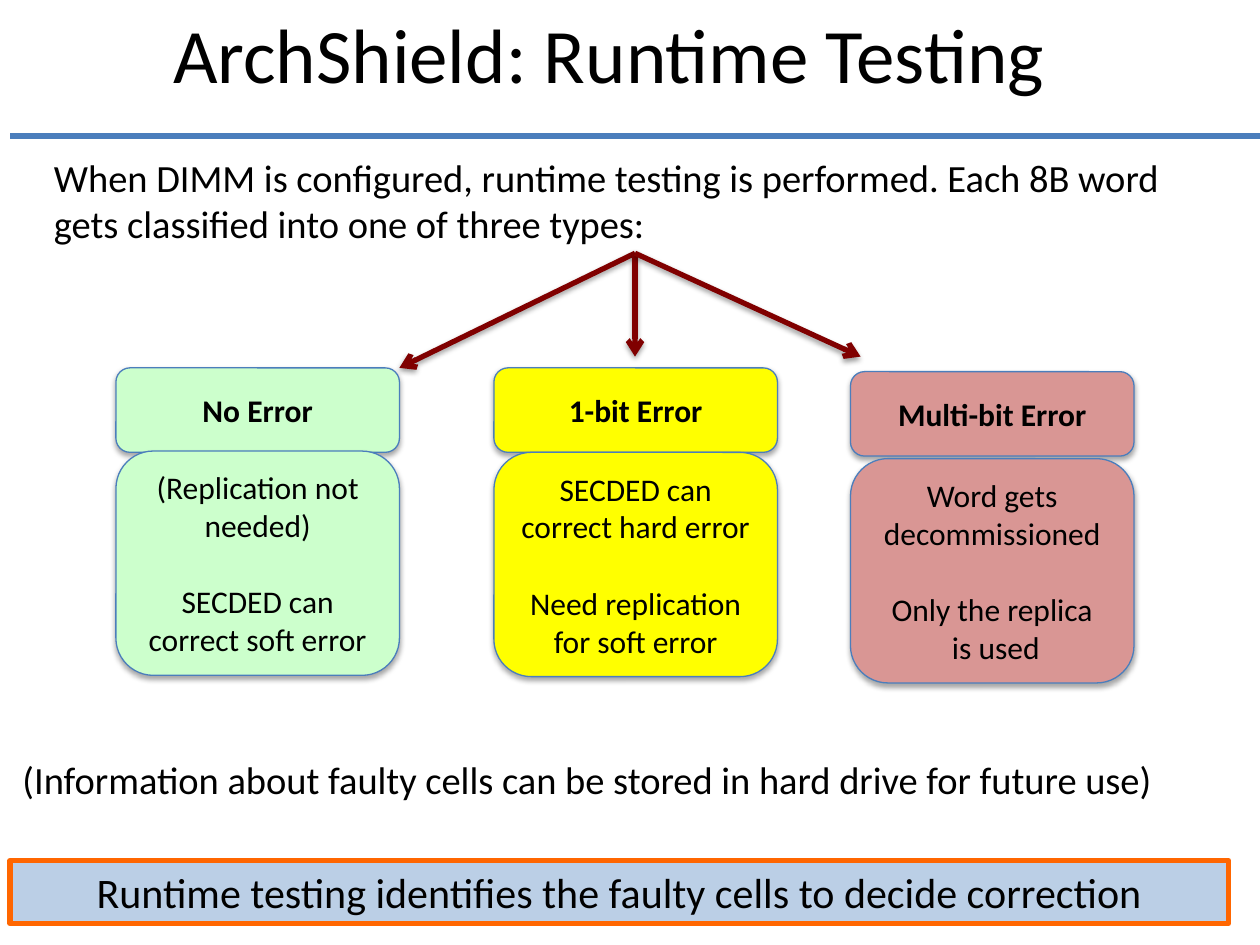
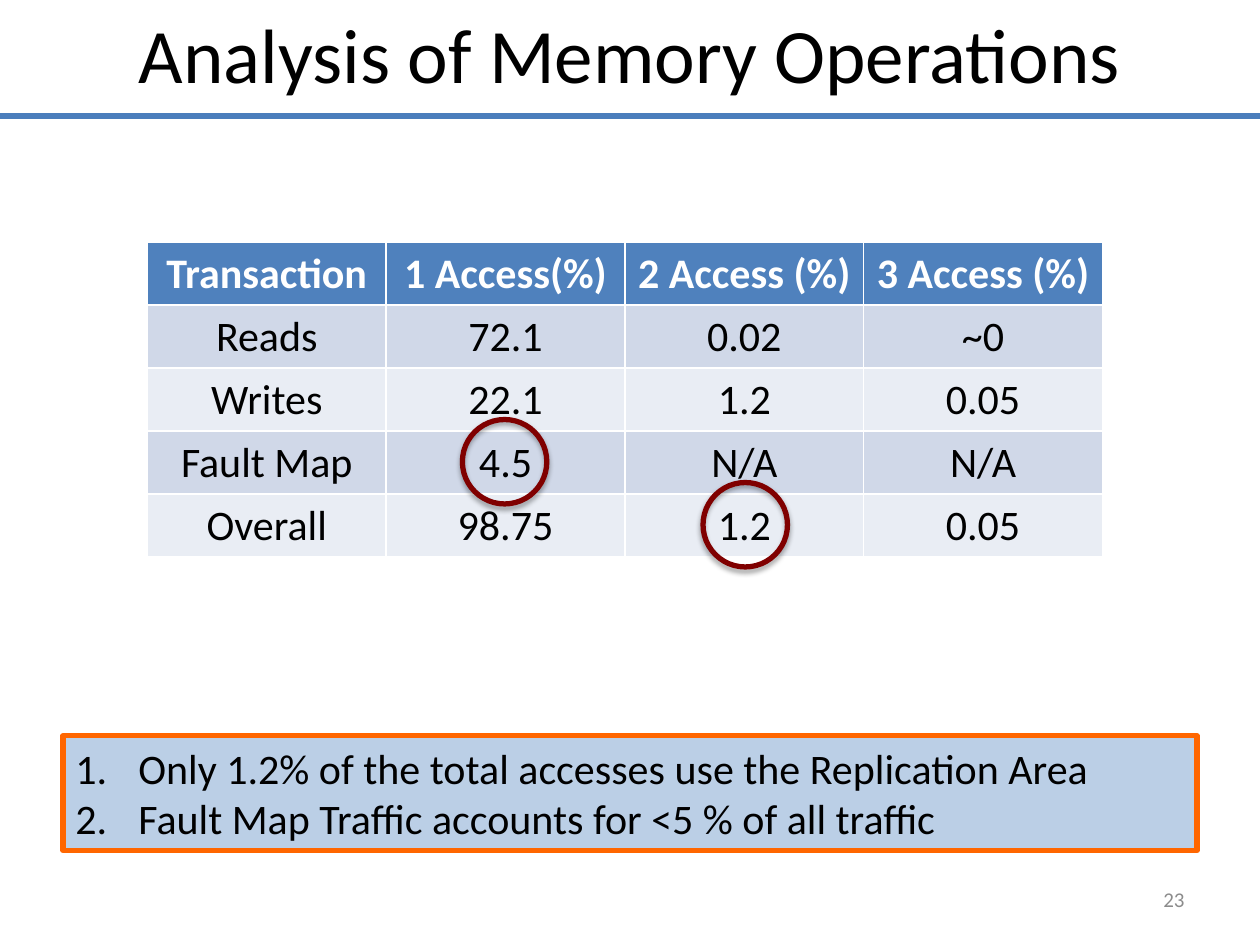
from pptx import Presentation
from pptx import util as u
from pptx.dml.color import RGBColor
from pptx.enum import shapes, text
from pptx.oxml import parse_xml
from pptx.oxml.ns import nsdecls
from lxml import etree

FONT = "Calibri"
COLORS = {
    "black": "000000", "white": "FFFFFF", "gray": "8C8C8C",
    "rule": "4B7EBC", "band": "BBCFE6", "orange": "FF6600", "maroon": "800000",
    "green": "CCFFCC", "yellow": "FFFF00", "red": "D99694",
    "header": "4F81BD", "odd row": "D0D8E8", "even row": "E9EDF4",
}
TOP, MIDDLE = text.MSO_ANCHOR.TOP, text.MSO_ANCHOR.MIDDLE
LEFT, CENTER, RIGHT = text.PP_ALIGN.LEFT, text.PP_ALIGN.CENTER, text.PP_ALIGN.RIGHT


def color(name):
    return RGBColor.from_string(COLORS[name])


def inches(*lengths):
    return [u.Inches(length) for length in lengths]


def write(frame, *lines, size=18, ink="black", bold=False, align=LEFT,
          anchor=TOP, gap=0, numbered=False):
    """Fill a text frame with one paragraph a line, in one format."""
    frame.word_wrap = True
    frame.vertical_anchor = anchor
    for index, line in enumerate(lines):
        para = frame.add_paragraph() if index else frame.paragraphs[0]
        para.text = line
        para.alignment = align
        if index and gap:
            para.space_before = u.Pt(gap)
        for span in para.runs:
            span.font.name, span.font.size, span.font.bold = FONT, u.Pt(size), bold
            span.font.color.rgb = color(ink)
        if numbered:
            props = para._p.get_or_add_pPr()
            props.set("marL", str(u.Inches(0.5)))
            props.set("indent", str(u.Inches(-0.5)))
            props.append(parse_xml(f'<a:buAutoNum {nsdecls("a")} type="arabicPeriod"/>'))


def add_effects(item, opacity=None, distance=1.8):
    """Replace the theme shadow by a soft one below, or by none."""
    shadow = ""
    if opacity:
        shadow = (f'<a:outerShdw blurRad="{u.Pt(3.1)}" dist="{u.Pt(distance)}" dir="5400000" '
                  f'rotWithShape="0"><a:srgbClr val="{COLORS["black"]}">'
                  f'<a:alpha val="{opacity * 1000}"/></a:srgbClr></a:outerShdw>')
    item._element.spPr.append(
        parse_xml(f'<a:effectLst {nsdecls("a")}>{shadow}</a:effectLst>'))


def add_figure(page, kind, box, fill, line, width, shadow=None):
    figure = page.shapes.add_shape(kind, *inches(*box))
    if fill:
        figure.fill.solid()
        figure.fill.fore_color.rgb = color(fill)
    else:
        figure.fill.background()
    figure.line.color.rgb = color(line)
    figure.line.width = u.Pt(width)
    add_effects(figure, shadow)
    return figure


def add_text(page, box, *lines, **style):
    label = page.shapes.add_textbox(*inches(*box))
    write(label.text_frame, *lines, **style)
    return label


def add_line(page, start, end, ink, arrow=False):
    line = page.shapes.add_connector(shapes.MSO_CONNECTOR.STRAIGHT,
                                     *inches(*start, *end))
    line.line.color.rgb = color(ink)
    line.line.width = u.Pt(3)
    if arrow:
        tail = etree.SubElement(line.line._get_or_add_ln(),
                                "{http://schemas.openxmlformats.org/drawingml/2006/main}tailEnd")
        tail.set("type", "arrow")
    add_effects(line, 38 if arrow else None, 1.6)
    return line


def add_page(deck, title, title_box, rule_left, rule_top):
    """Start a page with its title and the rule below it."""
    page = deck.slides.add_slide(deck.slide_layouts[5])
    heading = page.shapes.title
    heading.left, heading.top, heading.width, heading.height = inches(*title_box)
    write(heading.text_frame, title, size=44, align=CENTER)
    add_line(page, (rule_left, rule_top), (rule_left + 10, rule_top), "rule")
    return page


def add_takeaway(page, box, *lines, **style):
    band = add_figure(page, shapes.MSO_SHAPE.RECTANGLE, box, "band", "orange", 3)
    write(band.text_frame, *lines, size=24, **style)


def add_error_card(page, left, top, body_top, fill, heading, *notes):
    """A rounded heading with a rounded body under it."""
    parts = [(top, 0.67, [heading], True), (body_top, 1.78, notes, False)]
    for part_top, height, lines, bold in parts:
        part = add_figure(page, shapes.MSO_SHAPE.ROUNDED_RECTANGLE,
                          (left, part_top, 2.25, height), fill, "rule", 0.75, 35)
        write(part.text_frame, *lines, bold=bold, align=CENTER, anchor=MIDDLE, gap=22)


def add_access_table(page, box, rows):
    left, top, width, height = box
    table = page.shapes.add_table(len(rows), len(rows[0]), *inches(*box)).table
    for column in table.columns:
        column.width = u.Inches(width / len(rows[0]))
    for row_index, row in enumerate(rows):
        table.rows[row_index].height = u.Inches(height / len(rows))
        is_header = row_index == 0
        fill = "header" if is_header else "odd row" if row_index % 2 else "even row"
        for column_index, value in enumerate(row):
            cell = table.cell(row_index, column_index)
            cell.fill.solid()
            cell.fill.fore_color.rgb = color(fill)
            write(cell.text_frame, value, size=24, align=CENTER, bold=is_header,
                  ink="white" if is_header else "black")


def build_runtime_testing(deck):
    page = add_page(deck, "ArchShield: Runtime Testing", (0.42, 0, 8.83, 0.96), 0.08, 1.08)
    intro = add_text(page, (0.33, 1.17, 9.42, 0.84),
                     "When DIMM is configured, runtime testing is performed. "
                     "Each 8B word gets classified into one of three types:", size=22)
    add_takeaway(page, (0.08, 6.83, 9.67, 0.5),
                 "Runtime testing identifies the faulty cells to decide correction",
                 align=CENTER)
    add_text(page, (0.08, 5.95, 9.42, 0.47),
             "(Information about faulty cells can be stored in hard drive for future use)",
             size=22)

    # Arrows fan out from the introduction to the three types
    for tip in [(3.17, 2.92), (5.04, 2.83), (6.83, 2.83)]:
        arrow = add_line(page, (5.04, 2.01), tip, "maroon", arrow=True)
        arrow.begin_connect(intro, 2)

    cards = [
        (0.92, 2.92, 3.58, "green", "No Error",
         "(Replication not needed)", "SECDED can correct soft error"),
        (3.92, 2.92, 3.59, "yellow", "1-bit Error",
         "SECDED can correct hard error", "Need replication for soft error"),
        (6.75, 2.95, 3.64, "red", "Multi-bit Error",
         "Word gets decommissioned", "Only the replica\v is used"),
    ]
    for card in cards:
        add_error_card(page, *card)


def build_memory_operations(deck):
    page = add_page(deck, "Analysis of Memory Operations", (0, 0, 10, 0.96), 0, 0.92)
    add_text(page, (7.08, 6.92, 2.42, 0.43), "23", size=12, ink="gray",
             align=RIGHT, anchor=MIDDLE)
    add_takeaway(page, (0.5, 5.84, 9, 0.91),
                 "Only 1.2% of the total accesses use the Replication Area",
                 "Fault Map Traffic accounts for <5 % of all traffic", numbered=True)
    add_access_table(page, (1.17, 1.92, 7.58, 2.5), [
        ["Transaction", "1 Access(%)", "2 Access (%)", "3 Access (%)"],
        ["Reads", "72.1", "0.02", "~0"],
        ["Writes", "22.1", "1.2", "0.05"],
        ["Fault Map", "4.5", "N/A", "N/A"],
        ["Overall", "98.75", "1.2", "0.05"],
    ])
    # Rings around the two key values
    for left, top in [(5.58, 3.83), (3.67, 3.33)]:
        add_figure(page, shapes.MSO_SHAPE.OVAL, (left, top, 0.67, 0.67),
                   None, "maroon", 3, 35)


def main():
    deck = Presentation()
    deck.slide_width, deck.slide_height = inches(10, 7.5)
    build_runtime_testing(deck)
    build_memory_operations(deck)
    deck.save("out.pptx")


if __name__ == "__main__":
    main()
